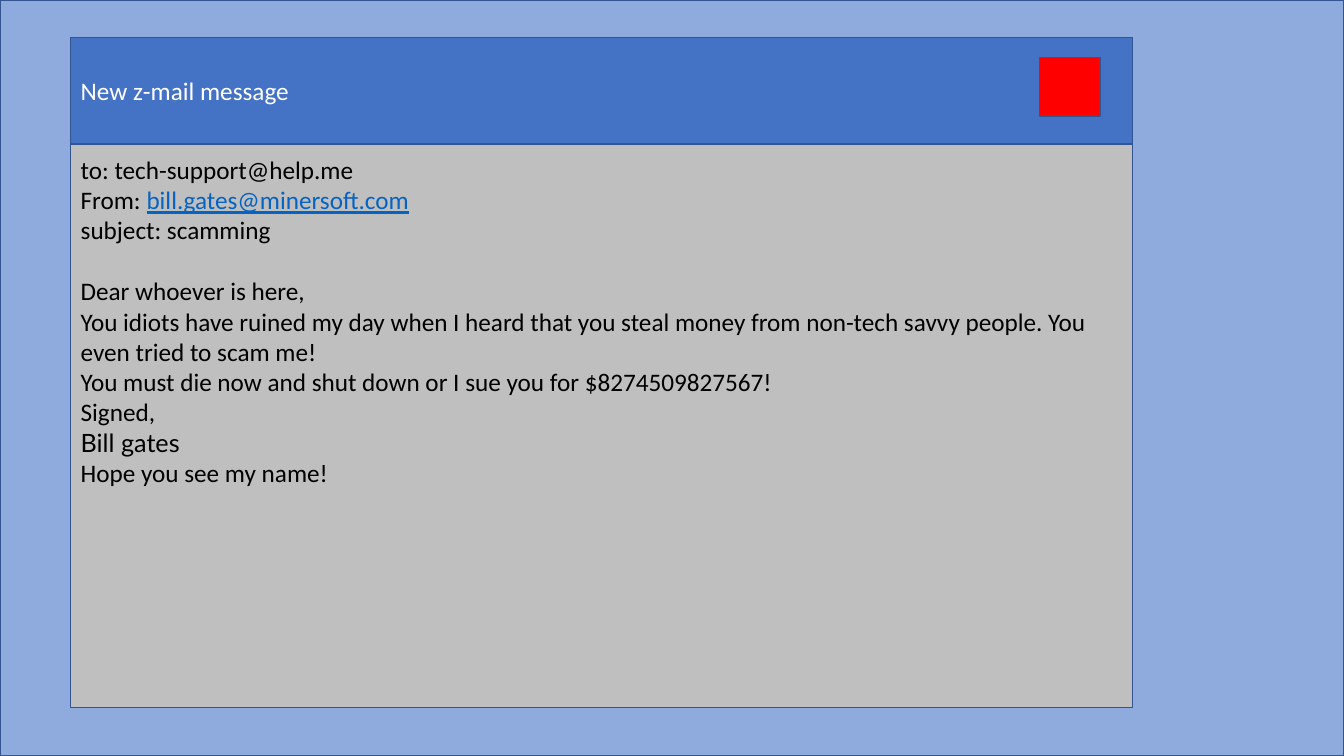
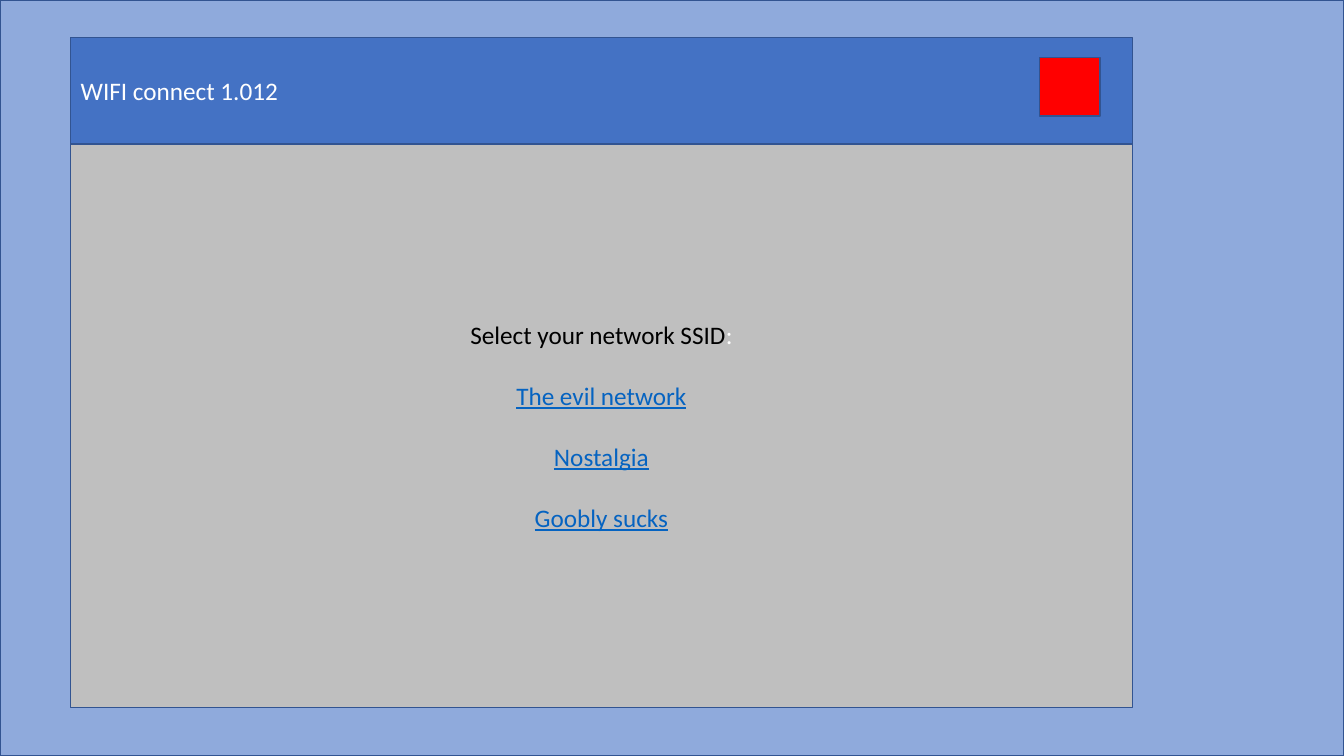
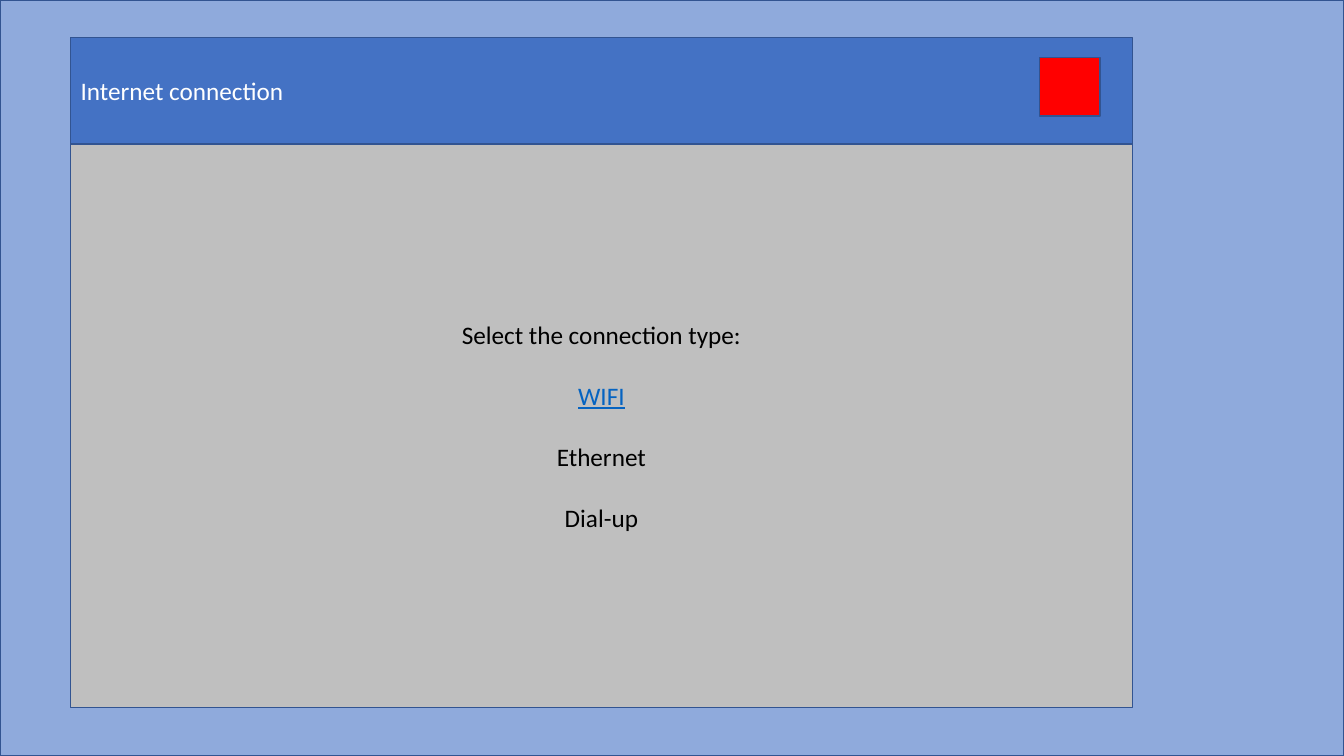
from dataclasses import dataclass
from pptx import Presentation
from pptx.dml.color import RGBColor as Rgb
from pptx.enum.shapes import MSO_SHAPE as Shape
from pptx.enum.text import MSO_ANCHOR as Anchor, MSO_AUTO_SIZE as Fit, PP_ALIGN as Align
from pptx.util import Inches, Pt
from lxml.etree import SubElement


@dataclass(frozen=True)
class Theme:
    desk: str = "8FAADC"
    pane: str = "BFBFBF"
    bar: str = "4472C4"
    close: str = "FF0000"
    edge: str = "325491"
    ink: str = "000000"
    light: str = "FFFFFF"
    link: str = "0563C1"
    font: str = "Calibri"
    alt: str = "Lato"
    size: float = 18
    gap: float = 22


T = Theme()
WIDE, HIGH = 13.33, 7.5
LEFT, TOP, SPAN = 0.7, 0.37, 10.53
BAR, PANE = 1.06, 5.59
LINK = {"color": T.link, "line": True}


def paint(shape, fill):
    shape.fill.solid()
    shape.fill.fore_color.rgb = Rgb.from_string(fill)
    shape.line.color.rgb = Rgb.from_string(T.edge)
    shape.line.width = Pt(1)


def place(shape, x, y, w, h):
    shape.left, shape.top = Inches(x), Inches(y)
    shape.width, shape.height = Inches(w), Inches(h)


def box(slide, x, y, w, h, fill):
    shape = slide.shapes.add_shape(
        Shape.RECTANGLE, Inches(x), Inches(y), Inches(w), Inches(h))
    shape.shadow.inherit = False
    paint(shape, fill)
    return shape


def style(run, color=T.ink, font=T.font, line=False):
    run.font.name, run.font.size = font, Pt(T.size)
    run.font.color.rgb = Rgb.from_string(color)
    run.font.underline = line


def write(shape, rows, align=Align.LEFT, anchor=Anchor.MIDDLE, gaps=(), **base):
    """Fill a shape with rows of (text, format) runs; gaps lists rows set apart."""
    frame = shape.text_frame
    frame.word_wrap, frame.auto_size = True, Fit.NONE
    frame.vertical_anchor = anchor
    for i, row in enumerate(rows):
        para = frame.paragraphs[0] if i == 0 else frame.add_paragraph()
        props = para._p.get_or_add_pPr()
        props.set("marL", "0")
        props.set("indent", "0")
        SubElement(props, props.tag.replace("pPr", "buNone"))
        para.alignment, para.line_spacing = align, 1.0
        para.space_before = Pt(T.gap if i in gaps else 0)
        para.space_after = Pt(0)
        for text, form in row:
            run = para.add_run()
            run.text = text
            style(run, **{**base, **form})


def window(deck, name):
    """Add a slide with a desktop and a titled window; return its pane."""
    slide = deck.slides.add_slide(deck.slide_layouts[1])
    title, pane = slide.shapes.title, slide.placeholders[1]
    desk = box(slide, 0, 0, WIDE, HIGH, T.desk)
    title.element.addprevious(desk.element)
    place(title, LEFT, TOP, SPAN, BAR)
    paint(title, T.bar)
    write(title, [[(name, {})]], color=T.light)
    place(pane, LEFT, TOP + BAR, SPAN, PANE)
    paint(pane, T.pane)
    box(slide, 10.31, 0.57, 0.6, 0.58, T.close)
    return pane


def mail(deck):
    pane = window(deck, "New z-mail message")
    rows = [
        [("to: tech-support@help.me", {})],
        [("From: ", {}), ("bill.gates@minersoft.com", LINK)],
        [("subject: scamming", {})],
        [("Dear whoever is here,", {})],
        [("You idiots have ruined my day when I heard that you steal money "
          "from non-tech savvy people. You even tried to scam me!", {})],
        [("You must die now and shut down or I sue you for $8274509827567!", {})],
        [("Signed,", {})],
        [("Bill gates", {"font": T.alt})],
        [("Hope you see my name!", {})],
    ]
    write(pane, rows, anchor=Anchor.TOP, gaps=(3,))
    pane.text_frame.margin_top = Inches(0.1)


def menu(deck, name, *rows):
    write(window(deck, name), rows, align=Align.CENTER, gaps=range(1, len(rows)))


def main():
    deck = Presentation()
    deck.slide_width, deck.slide_height = Inches(WIDE), Inches(HIGH)
    mail(deck)
    menu(deck, "WIFI connect 1.012",
         [("Select your network SSID", {}), (":", {"color": T.light})],
         [("The evil network", LINK)], [("Nostalgia", LINK)],
         [("Goobly sucks", LINK)])
    menu(deck, "Internet connection",
         [("Select the connection type:", {})],
         [("WIFI", LINK)], [("Ethernet", {})], [("Dial-up", {})])
    deck.save("out.pptx")


if __name__ == "__main__":
    main()
